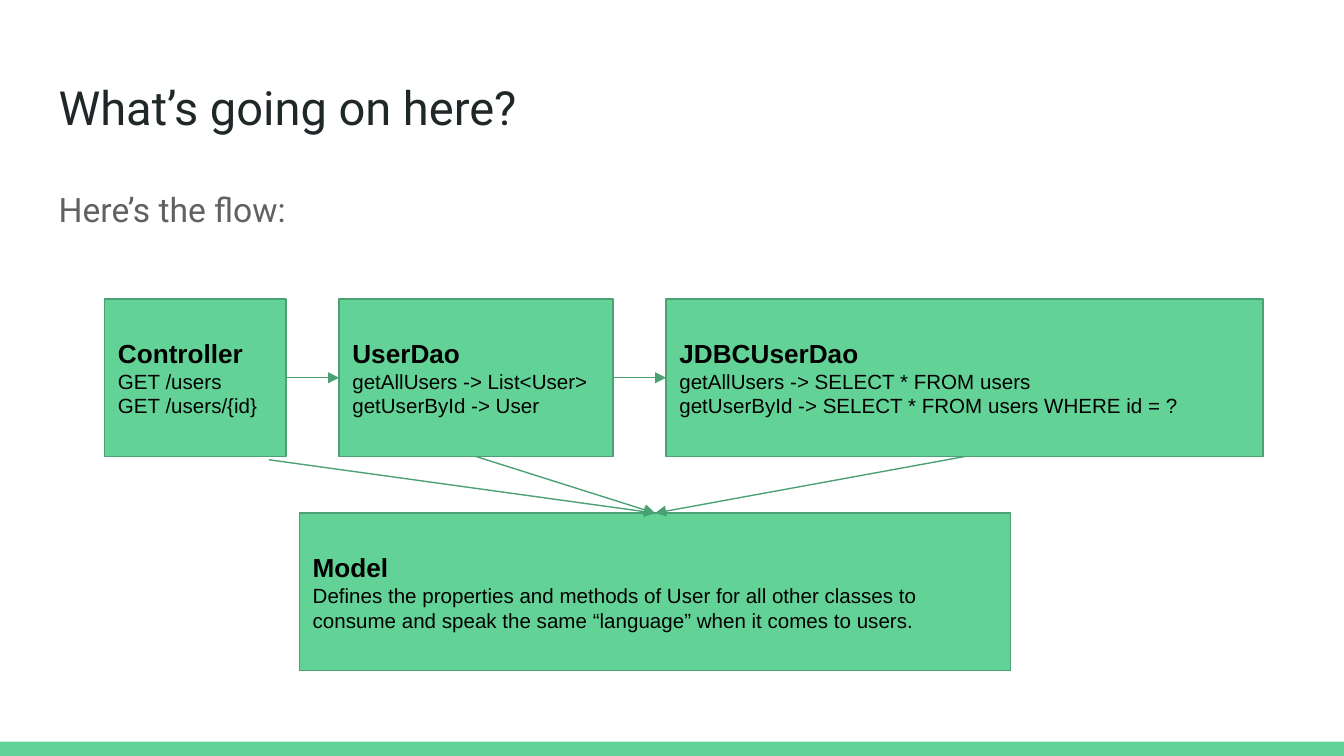
from lxml import etree
from pptx import Presentation
from pptx.dml.color import RGBColor
from pptx.enum.shapes import MSO_CONNECTOR, MSO_SHAPE
from pptx.enum.text import MSO_ANCHOR, PP_ALIGN
from pptx.oxml.ns import qn
from pptx.util import Cm, Pt

STRAIGHT = MSO_CONNECTOR.STRAIGHT
RECTANGLE = MSO_SHAPE.RECTANGLE
TOP = MSO_ANCHOR.TOP
MIDDLE = MSO_ANCHOR.MIDDLE
LEFT = PP_ALIGN.LEFT

GREEN = RGBColor(0x63, 0xD2, 0x97)
DARK_GREEN = RGBColor(0x4B, 0xA1, 0x73)
INK = RGBColor(0x20, 0x27, 0x29)
GREY = RGBColor(0x61, 0x61, 0x61)
BLACK = RGBColor(0, 0, 0)

SLIDE_WIDTH, SLIDE_HEIGHT = 25.4, 14.29
BAR_HEIGHT = 0.27
TOP_SIDE, LEFT_SIDE, BOTTOM_SIDE, RIGHT_SIDE = range(4)

TITLE_FONT = {"name": "Roboto", "size": Pt(25.2)}
BODY_FONT = {"name": "Roboto", "size": Pt(18)}
HEADING_FONT = {"name": "Arial", "size": Pt(14), "bold": True}
DETAIL_FONT = {"name": "Arial", "size": Pt(11), "bold": False}
FRAME = {
    "word_wrap": True,
    "margin_left": Cm(0.25),
    "margin_top": Cm(0.25),
    "margin_right": Cm(0.25),
    "margin_bottom": Cm(0.25),
}

FLOW_BOXES = [
    (3.43, "Controller", ["GET /users", "GET /users/{id}"]),
    (5.18, "UserDao", ["getAllUsers -> List<User>", "getUserById -> User"]),
    (11.28, "JDBCUserDao", [
        "getAllUsers -> SELECT * FROM users",
        "getUserById -> SELECT * FROM users WHERE id = ?",
    ]),
]
MODEL_DETAILS = [
    "Defines the properties and methods of User for all other classes to "
    "consume and speak the same “language” when it comes to users."
]


def apply_format(target, values):
    for name, value in values.items():
        setattr(target, name, value)


def write_lines(shape, lines, color, anchor, line_spacing=1.0):
    frame = shape.text_frame
    apply_format(frame, FRAME | {"vertical_anchor": anchor})
    for index, (text, font_values) in enumerate(lines):
        paragraph = frame.add_paragraph() if index else frame.paragraphs[0]
        apply_format(paragraph, {"alignment": LEFT, "line_spacing": line_spacing})
        run = paragraph.add_run()
        run.text = text
        apply_format(run.font, font_values)
        run.font.color.rgb = color


def add_rectangle(slide, box):
    shape = slide.shapes.add_shape(RECTANGLE, *map(Cm, box))
    shape.shadow.inherit = False
    shape.fill.solid()
    shape.fill.fore_color.rgb = GREEN
    return shape


def add_footer_bar(slide, box):
    add_rectangle(slide, box).line.fill.background()


def add_text(slide, box, text, font_values, color, line_spacing=1.0):
    shape = slide.shapes.add_textbox(*map(Cm, box))
    write_lines(shape, [(text, font_values)], color, TOP, line_spacing)


def add_class_box(slide, box, heading, details):
    shape = add_rectangle(slide, box)
    shape.line.color.rgb = DARK_GREEN
    shape.line.width = Pt(0.75)
    lines = [(heading, HEADING_FONT)] + [(text, DETAIL_FONT) for text in details]
    write_lines(shape, lines, BLACK, MIDDLE)
    return shape


def add_arrow(slide, target, target_side, source=None, source_side=None, start=(0, 0)):
    x, y = map(Cm, start)
    connector = slide.shapes.add_connector(STRAIGHT, x, y, x, y)
    if source is not None:
        connector.begin_connect(source, source_side)
    connector.end_connect(target, target_side)
    connector.line.color.rgb = DARK_GREEN
    connector.line.width = Pt(0.75)
    properties = connector._element.spPr
    etree.SubElement(properties.find(qn("a:ln")), qn("a:tailEnd"), type="triangle")
    etree.SubElement(properties, qn("a:effectLst"))


def add_flow(slide, left, top, box_height, gap):
    boxes = []
    for width, heading, details in FLOW_BOXES:
        box = (left, top, width, box_height)
        boxes.append(add_class_box(slide, box, heading, details))
        left += width + gap
    model_box = (5.66, 9.7, 13.44, box_height)
    model = add_class_box(slide, model_box, "Model", MODEL_DETAILS)
    for source, target in zip(boxes, boxes[1:]):
        add_arrow(slide, target, LEFT_SIDE, source, RIGHT_SIDE)
    add_arrow(slide, model, TOP_SIDE, start=(5.08, 8.69))
    for source in boxes[1:]:
        add_arrow(slide, model, TOP_SIDE, source, BOTTOM_SIDE)


def main():
    presentation = Presentation()
    presentation.slide_width = Cm(SLIDE_WIDTH)
    presentation.slide_height = Cm(SLIDE_HEIGHT)
    slide = presentation.slides.add_slide(presentation.slide_layouts[6])
    add_footer_bar(slide, (0, SLIDE_HEIGHT - BAR_HEIGHT, SLIDE_WIDTH, BAR_HEIGHT))
    add_text(slide, (0.86, 1.24, 23.67, 1.6), "What’s going on here?", TITLE_FONT, INK)
    add_text(slide, (0.86, 3.2, 23.67, 9.5), "Here’s the flow:", BODY_FONT, GREY, 1.15)
    add_flow(slide, left=1.98, top=5.65, box_height=2.98, gap=1)
    presentation.save("out.pptx")


if __name__ == "__main__":
    main()
